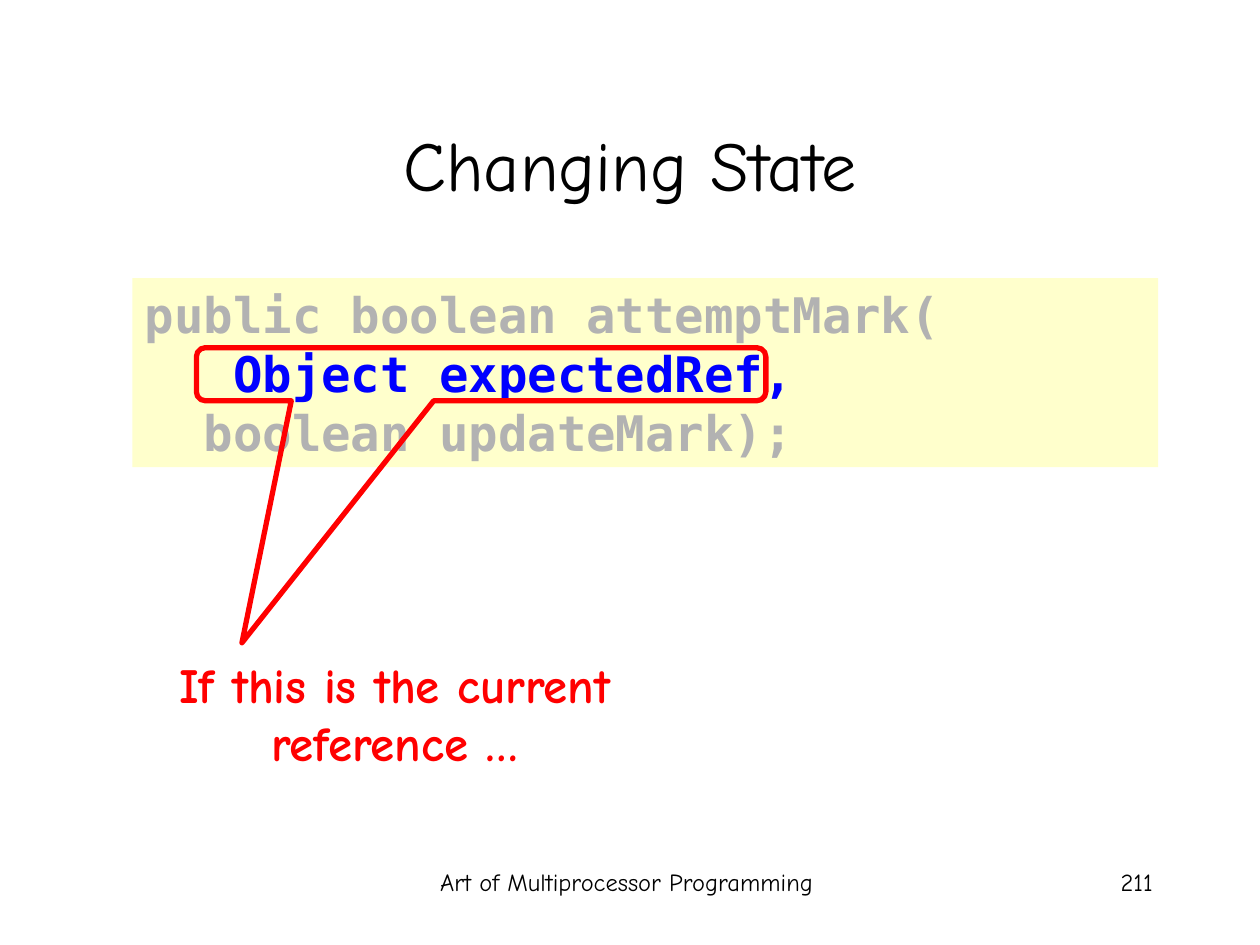
import pptx
import pptx.dml.color
import pptx.enum.shapes
import pptx.enum.text
import pptx.util

Cm, Pt = pptx.util.Cm, pptx.util.Pt
RGBColor = pptx.dml.color.RGBColor
ALIGN = pptx.enum.text.PP_ALIGN
ANCHOR = pptx.enum.text.MSO_ANCHOR
SHAPE = pptx.enum.shapes.MSO_SHAPE

BLACK = RGBColor(0x00, 0x00, 0x00)
GRAY = RGBColor(0xB2, 0xB2, 0xB2)
BLUE = RGBColor(0x00, 0x00, 0xFF)
RED = RGBColor(0xFF, 0x00, 0x00)
CREAM = RGBColor(0xFF, 0xFF, 0xCC)
TEXT_FONT = "Comic Neue"
CODE_FONT = "DejaVu Sans Mono"


def add_run(paragraph, text, size, color, font=TEXT_FONT, bold=False):
    run = paragraph.add_run()
    run.text = text
    run.font.name = font
    run.font.size = Pt(size)
    run.font.bold = bold
    run.font.color.rgb = color


def add_label(slide, box, text, size, color, align, bold=False):
    frame = slide.shapes.add_textbox(*box).text_frame
    frame.word_wrap = True
    paragraph = frame.paragraphs[0]
    paragraph.alignment = align
    add_run(paragraph, text, size, color, bold=bold)


def add_title(slide, box):
    title = slide.shapes.title
    title.left, title.top, title.width, title.height = box
    frame = title.text_frame
    frame.margin_left = frame.margin_right = 0
    frame.margin_top = frame.margin_bottom = 0
    frame.vertical_anchor = ANCHOR.MIDDLE
    frame.paragraphs[0].alignment = ALIGN.CENTER
    add_run(frame.paragraphs[0], "Changing State", 40, BLACK)


def add_code(slide, box):
    panel = slide.shapes.add_shape(SHAPE.RECTANGLE, *box)
    panel.shadow.inherit = False
    panel.fill.solid()
    panel.fill.fore_color.rgb = CREAM
    panel.line.fill.background()
    frame = panel.text_frame
    frame.word_wrap = True
    frame.vertical_anchor = ANCHOR.TOP

    signature = frame.paragraphs[0]
    add_run(signature, "public boolean attemptMark(", 28, GRAY, CODE_FONT, True)
    signature.add_line_break()
    add_run(signature, "   Object expectedRef,", 28, BLUE, CODE_FONT, True)
    last_line = frame.add_paragraph()
    add_run(last_line, "  boolean updateMark);", 28, GRAY, CODE_FONT, True)
    for paragraph in frame.paragraphs:
        paragraph.alignment = ALIGN.LEFT


def add_callout(slide, box):
    """Outline the argument in the code and explain it below the tip."""
    left, top, width, height = box
    callout = slide.shapes.add_shape(SHAPE.ROUNDED_RECTANGULAR_CALLOUT, *box)
    callout.shadow.inherit = False
    callout.fill.background()
    callout.line.color.rgb = RED
    callout.line.width = Pt(3)
    for index, value in enumerate((-0.42, 5.06, 0.17)):
        callout.adjustments[index] = value

    note_box = (left - Cm(1.93), top + Cm(6.05), Cm(11.86), Cm(2.64))
    add_label(slide, note_box, "If this is the current reference …",
              28, RED, ALIGN.CENTER, bold=True)


def add_footer(slide, box):
    left, top, width, height = box
    number_width = Cm(5.28)
    add_label(slide, (left, top, Cm(9.53), height),
              "Art of Multiprocessor Programming", 14, BLACK, ALIGN.CENTER)
    add_label(slide, (left + width - number_width, top, number_width, height),
              "211", 14, BLACK, ALIGN.RIGHT)


def main():
    deck = pptx.Presentation()
    deck.slide_width, deck.slide_height = Cm(25.4), Cm(19.05)
    slide = deck.slides.add_slide(deck.slide_layouts[5])
    add_footer(slide, (Cm(7.87), Cm(17.35), Cm(15.62), Cm(1.27)))
    add_title(slide, (Cm(1.9), Cm(1.7), Cm(21.6), Cm(3.18)))
    add_code(slide, (Cm(2.67), Cm(5.61), Cm(20.68), Cm(3.81)))
    add_callout(slide, (Cm(3.96), Cm(7.01), Cm(11.48), Cm(1.07)))
    deck.save("out.pptx")


if __name__ == "__main__":
    main()
